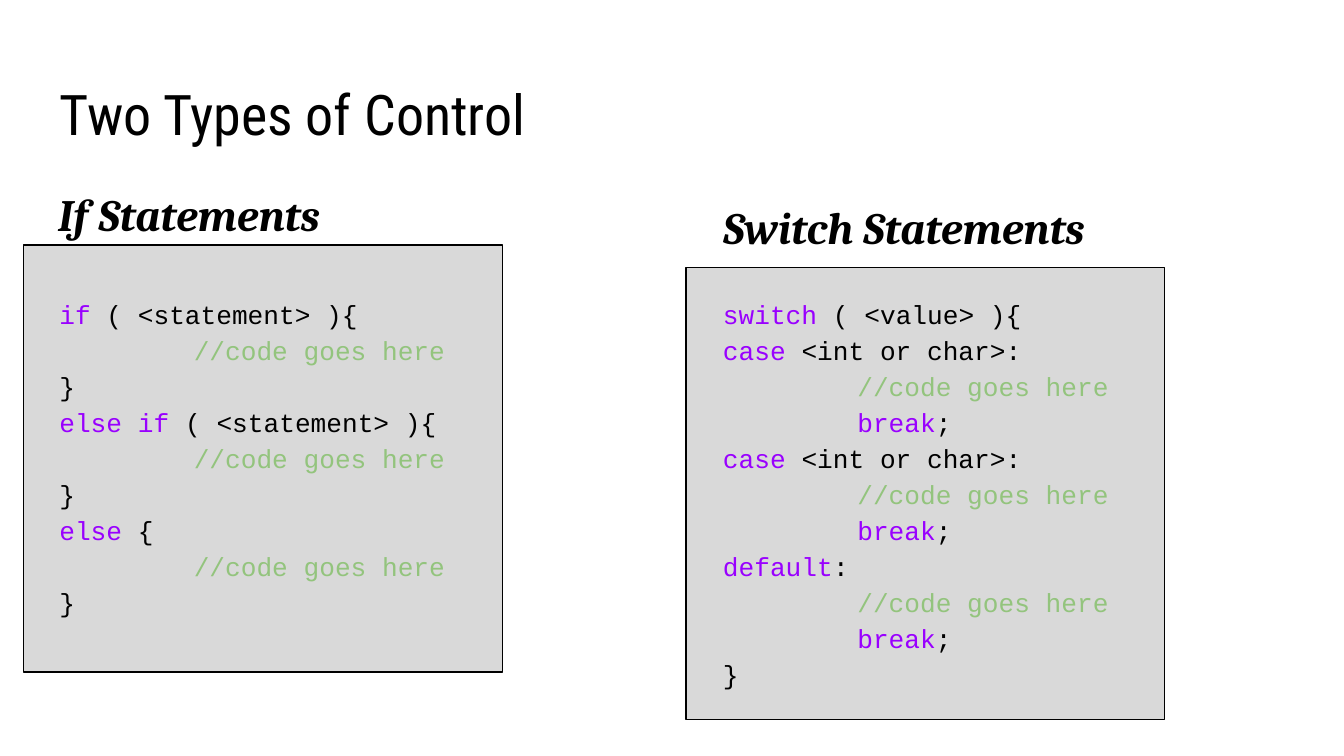
"""Build the slide that sets if statements beside switch statements."""
from dataclasses import dataclass

from lxml.etree import SubElement
from pptx import Presentation
from pptx.dml.color import RGBColor
from pptx.enum.shapes import MSO_SHAPE as Shape
from pptx.enum.text import MSO_ANCHOR as Anchor, MSO_AUTO_SIZE as AutoSize, PP_ALIGN as Align
from pptx.oxml.ns import qn
from pptx.util import Inches, Pt

PX = 9525


@dataclass(frozen=True)
class Theme:
    ink: str = "000000"
    panel: str = "D9D9D9"
    keyword: str = "9900FF"
    comment: str = "93C47D"
    title: tuple = ("Roboto Condensed", 30)
    heading: tuple = ("Cambria", 24)
    code: tuple = ("Courier New", 14)


class SlideBuilder:
    def __init__(self, slide, theme):
        self.slide = slide
        self.theme = theme

    def place(self, shape, box):
        for name, value in zip(("left", "top", "width", "height"), box):
            setattr(shape, name, value * PX)

    def frame(self, shape):
        frame = shape.text_frame
        settings = {"word_wrap": True, "auto_size": AutoSize.NONE, "vertical_anchor": Anchor.TOP}
        settings.update({f"margin_{side}": Inches(0.1) for side in ("left", "top", "right", "bottom")})
        for name, value in settings.items():
            setattr(frame, name, value)
        return frame

    def run(self, paragraph, text, font, color, **styles):
        run = paragraph.add_run()
        run.text = text
        name, size = font
        for key, value in {"name": name, "size": Pt(size), **styles}.items():
            setattr(run.font, key, value)
        run.font.color.rgb = RGBColor.from_string(color)

    def text_box(self, box):
        return self.frame(self.slide.shapes.add_textbox(*(value * PX for value in box)))

    def title(self, text, box):
        shape = self.slide.shapes.title
        self.place(shape, box)
        paragraph = self.frame(shape).paragraphs[0]
        paragraph.alignment = Align.LEFT
        self.run(paragraph, text, self.theme.title, self.theme.ink)

    def panel(self, box):
        shape = self.slide.shapes.add_shape(Shape.RECTANGLE, *(value * PX for value in box))
        shape.shadow.inherit = False
        shape.fill.solid()
        shape.fill.fore_color.rgb = RGBColor.from_string(self.theme.panel)
        shape.line.color.rgb = RGBColor.from_string(self.theme.ink)
        shape.line.width = Pt(0.75)

    def heading(self, text, box):
        paragraph = self.text_box(box).paragraphs[0]
        self.run(paragraph, text, self.theme.heading, self.theme.ink, bold=True, italic=True)

    def code(self, lines, box):
        frame = self.text_box(box)
        for index, line in enumerate(lines):
            paragraph = frame.add_paragraph() if index else frame.paragraphs[0]
            paragraph.line_spacing = 1.15
            tabs = SubElement(paragraph._p.get_or_add_pPr(), qn("a:tabLst"))
            SubElement(tabs, qn("a:tab"), pos=str(96 * PX), algn="l")
            for role, text in line:
                self.run(paragraph, text, self.theme.code, getattr(self.theme, role))


def statement(keyword, rest):
    return [("keyword", keyword), ("ink", rest)]


COMMENT = [("ink", "\t"), ("comment", "//code goes here")]
BREAK = [("ink", "\t"), *statement("break", ";")]
CLOSE = [("ink", "}")]

IF_HEADS = (("if", " ( <statement> ){"), ("else if", " ( <statement> ){"), ("else", " {"))
CASE_HEADS = (("case", " <int or char>:"), ("case", " <int or char>:"), ("default", ":"))

IF_CODE = [line for head in IF_HEADS for line in (statement(*head), COMMENT, CLOSE)]
SWITCH_CODE = [
    statement("switch", " ( <value> ){"),
    *(line for head in CASE_HEADS for line in (statement(*head), COMMENT, BREAK)),
    CLOSE,
]

COLUMNS = (
    ("If Statements", (32, 124, 333, 44), (17, 175, 342, 305), IF_CODE, (33, 200, 322, 279)),
    ("Switch Statements", (507, 133, 333, 44), (490, 191, 342, 323), SWITCH_CODE, (507, 200, 306, 305)),
)


def main():
    presentation = Presentation()
    presentation.slide_width = 960 * PX
    presentation.slide_height = 540 * PX
    slide = presentation.slides.add_slide(presentation.slide_layouts[5])
    builder = SlideBuilder(slide, Theme())
    builder.title("Two Types of Control", (33, 47, 895, 60))
    for heading, heading_box, panel_box, lines, code_box in COLUMNS:
        builder.panel(panel_box)
        builder.code(lines, code_box)
        builder.heading(heading, heading_box)
    presentation.save("out.pptx")


if __name__ == "__main__":
    main()
